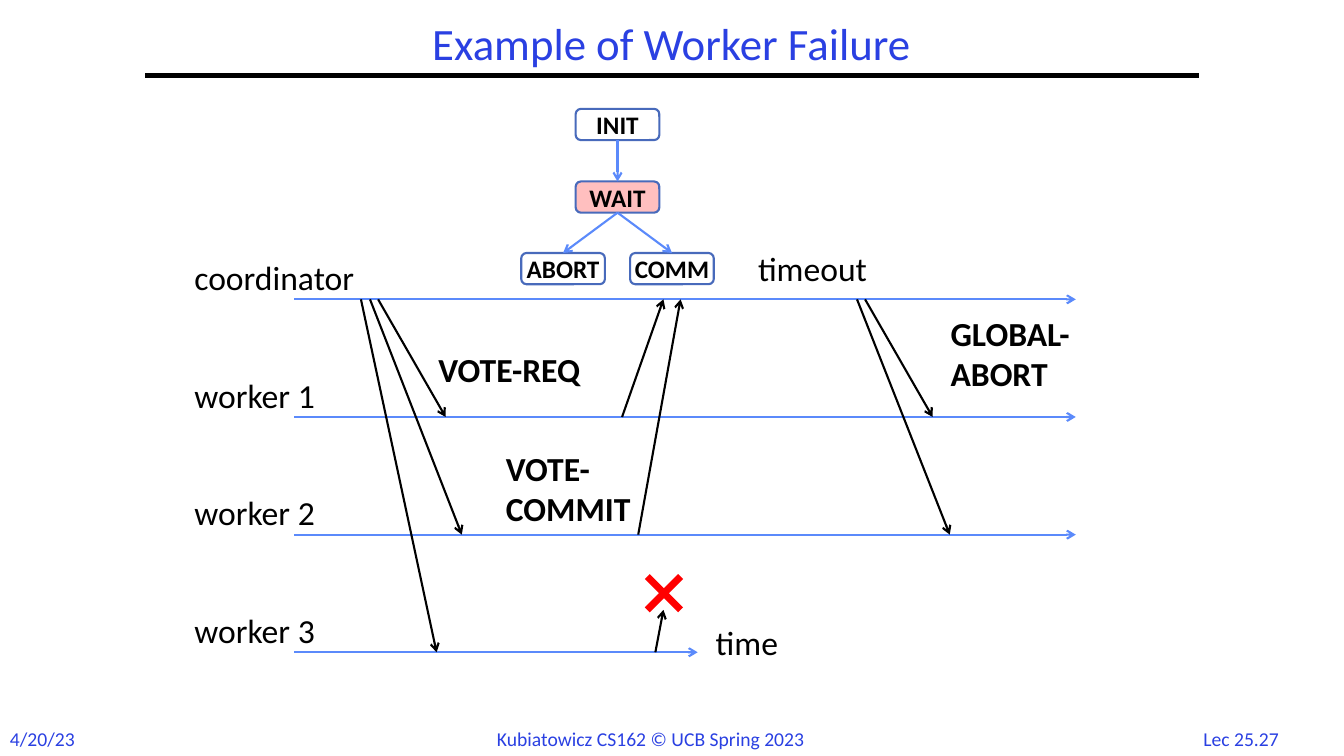
"""Builds a slide that shows a worker failure in two-phase commit."""
from pptx import Presentation
from pptx.dml.color import RGBColor
from pptx.enum.shapes import MSO_CONNECTOR, MSO_SHAPE
from pptx.enum.text import MSO_ANCHOR, PP_ALIGN
from pptx.oxml.ns import qn
from pptx.util import Inches, Pt
from lxml import etree

STRAIGHT = MSO_CONNECTOR.STRAIGHT
ROUNDED = MSO_SHAPE.ROUNDED_RECTANGLE
LEFT, CENTER = PP_ALIGN.LEFT, PP_ALIGN.CENTER
TOP, MIDDLE = MSO_ANCHOR.TOP, MSO_ANCHOR.MIDDLE

FONT = "Calibri"
BLACK, RED, PINK = "000000", "FF0000", "FFBFBF"
TITLE_BLUE, LINE_BLUE, BOX_BLUE = "2A40E2", "5B8AFB", "486ABB"

TITLE = "Example of Worker Failure"
FOOTERS = [
    ("4/20/23", 0, 0.85, LEFT),
    ("Kubiatowicz CS162 © UCB Spring 2023", 4.83, 3.68, LEFT),
    ("Lec 25.27", 11.77, 1.08, CENTER),
]
LANE_TOP, LANE_GAP, LANE_LEFT = 2.97, 1.167, 2.92
LANES = [("coordinator", 2, 10.67), ("worker 1", 1.5, 10.67),
         ("worker 2", 1.5, 10.67), ("worker 3", 1.5, 6.92)]
MESSAGES = [
    (3.75, 0, 4.42, 1), (3.67, 0, 4.58, 2), (3.58, 0, 4.33, 3),
    (6.17, 1, 6.58, 0), (6.33, 2, 6.75, 0),
    (8.58, 0, 9.25, 1), (8.5, 0, 9.42, 2),
]
LABELS = [
    ("VOTE-REQ", 4.25, 3.41, 1.75, 0.51, True),
    ("VOTE-COMMIT", 4.92, 4.39, 1.83, 0.91, True),
    ("GLOBAL-ABORT", 9.33, 3.05, 2, 0.91, True),
    ("timeout", 7.42, 2.41, 2, 0.51, False),
    ("time", 7, 6.12, 0.92, 0.51, False),
]
STATE_W, STATE_H = 0.83, 0.31
STATES = {"INIT": (5.71, 1.08), "WAIT": (5.71, 1.8),
          "ABORT": (5.17, 2.51), "COMM": (6.25, 2.51)}
CURRENT = "WAIT"
TRANSITIONS = [("INIT", "WAIT"), ("WAIT", "ABORT"), ("WAIT", "COMM")]
LOST_X, LOST_Y, LOST_SIZE = 6.42, 5.72, 0.33

prs = Presentation()
prs.slide_width, prs.slide_height = Inches(13.33), Inches(7.5)
s = prs.slides.add_slide(prs.slide_layouts[6])


def rgb(color):
    return RGBColor.from_string(color)


def write(sp, text, size=24, color=BLACK, bold=False, align=LEFT, anchor=TOP,
          wrap=True, spacing=None, inset=None):
    tf = sp.text_frame
    tf.word_wrap, tf.vertical_anchor = wrap, anchor
    if inset is not None:
        tf.margin_left = tf.margin_right = Inches(inset)
        tf.margin_top = tf.margin_bottom = Inches(inset)
    p = tf.paragraphs[0]
    p.alignment, p.line_spacing = align, spacing
    r = p.add_run()
    r.text = text
    r.font.name, r.font.size, r.font.bold = FONT, Pt(size), bold
    r.font.color.rgb = rgb(color)


def text_box(text, x, y, w, h, **fmt):
    write(s.shapes.add_textbox(*map(Inches, (x, y, w, h))), text, **fmt)


def line(x1, y1, x2, y2, color=BLACK, width=1.5, arrow=True):
    sp = s.shapes.add_connector(STRAIGHT, *map(Inches, (x1, y1, x2, y2)))
    sp.line.color.rgb, sp.line.width = rgb(color), Pt(width)
    if arrow:
        etree.SubElement(sp.line._get_or_add_ln(), qn("a:tailEnd"), type="arrow")
    etree.SubElement(sp._element.spPr, qn("a:effectLst"))


def lane_y(i):
    return LANE_TOP + i * LANE_GAP


def state_box(name, x, y):
    sp = s.shapes.add_shape(ROUNDED, *map(Inches, (x, y, STATE_W, STATE_H)))
    sp.shadow.inherit = False
    sp.line.color.rgb, sp.line.width = rgb(BOX_BLUE), Pt(1.5)
    if name == CURRENT:
        sp.fill.solid()
        sp.fill.fore_color.rgb = rgb(PINK)
    else:
        sp.fill.background()
    write(sp, name, size=18, bold=True, align=CENTER, anchor=MIDDLE, inset=0)


def main():
    for text, x, w, align in FOOTERS:
        text_box(text, x, 7.16, w, 0.34, size=14, color=TITLE_BLUE,
                 align=align, wrap=False)
    line(1.44, 0.75, 11.89, 0.75, width=3, arrow=False)
    text_box(TITLE, 1.44, 0.17, 10.44, 0.58, size=32, color=TITLE_BLUE,
             align=CENTER, anchor=MIDDLE, spacing=0.9)

    for i, (name, w, end) in enumerate(LANES):
        line(LANE_LEFT, lane_y(i), end, lane_y(i), color=LINE_BLUE)
        text_box(name, 1.83, lane_y(i) - 0.47, w, 0.51)
    for x1, sender, x2, receiver in MESSAGES:
        line(x1, lane_y(sender), x2, lane_y(receiver))
    for text, x, y, w, h, bold in LABELS:
        text_box(text, x, y, w, h, bold=bold)

    right, bottom = LOST_X + LOST_SIZE, LOST_Y + LOST_SIZE
    line(6.5, lane_y(3), 6.58, bottom)
    line(LOST_X, LOST_Y, right, bottom, color=RED, width=5, arrow=False)
    line(right, LOST_Y, LOST_X, bottom, color=RED, width=5, arrow=False)

    for name, (x, y) in STATES.items():
        state_box(name, x, y)
    for start, end in TRANSITIONS:
        (x1, y1), (x2, y2) = STATES[start], STATES[end]
        line(x1 + STATE_W / 2, y1 + STATE_H, x2 + STATE_W / 2, y2, color=LINE_BLUE)

    prs.save("out.pptx")


if __name__ == "__main__":
    main()
